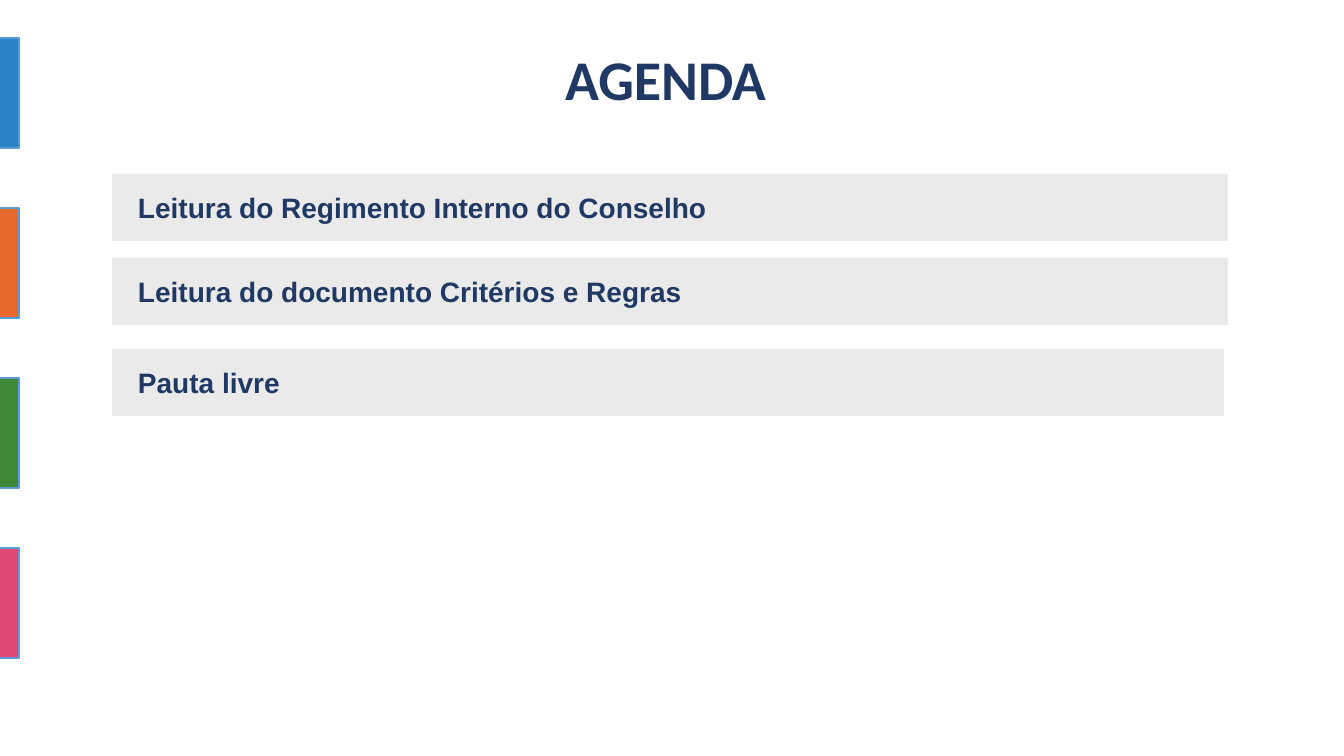
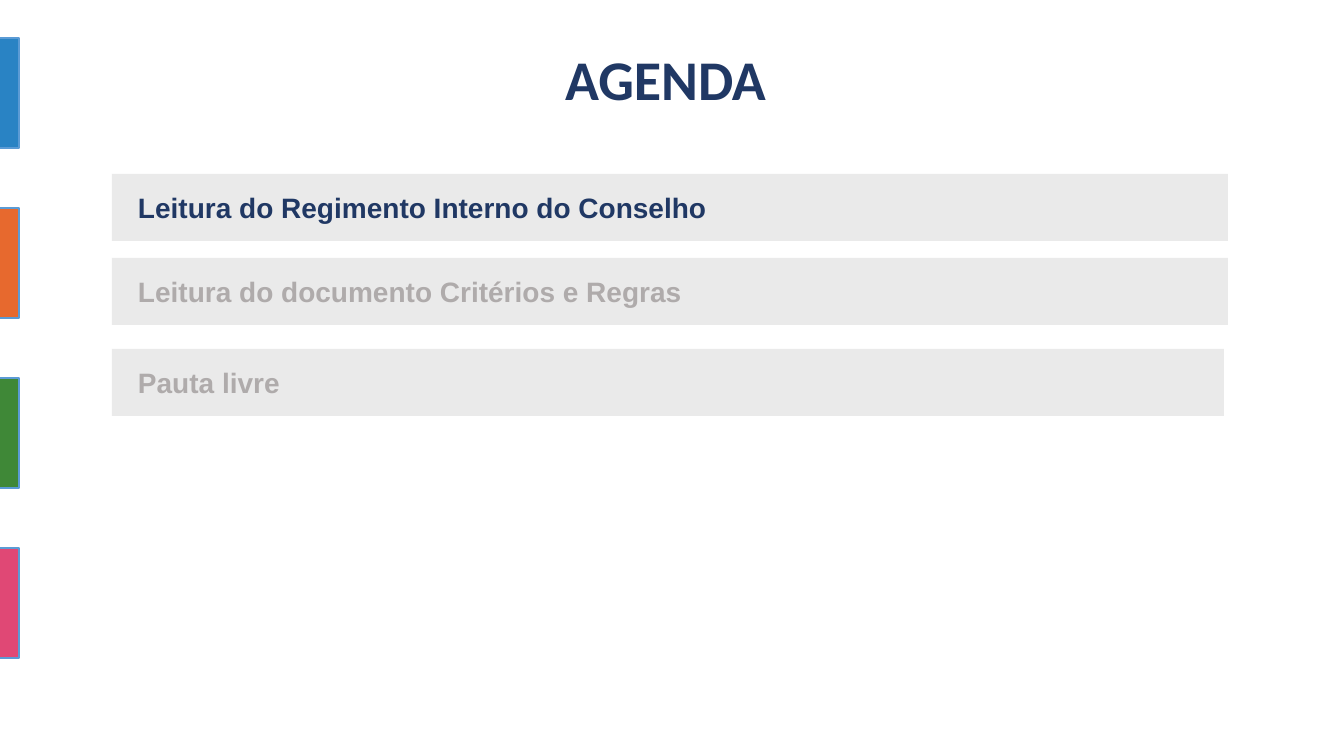
from pptx import Presentation
from pptx.dml.color import RGBColor
from pptx.enum.shapes import MSO_SHAPE
from pptx.enum.text import MSO_ANCHOR, PP_ALIGN
from pptx.util import Pt

RECTANGLE = MSO_SHAPE.RECTANGLE
MIDDLE = MSO_ANCHOR.MIDDLE
LEFT, CENTER = PP_ALIGN.LEFT, PP_ALIGN.CENTER

SLIDE_WIDTH, SLIDE_HEIGHT = 1344, 756
SCALE = 12192000 / SLIDE_WIDTH

COLORS = {
    "blue": "2983C4",
    "orange": "E7692E",
    "green": "3F8837",
    "pink": "E04875",
    "outline": "5B9BD5",
    "navy": "203864",
    "bar": "EAEAEA",
    "muted": "AFABAB",
}
TAB_COLORS = ("blue", "orange", "green", "pink")
TAB_PITCH = 170

TABS_BOX = (-1, 38, 20, 110)
TITLE_BOX = (361, 40, 609, 139)
TOPICS = (
    ("Leitura do Regimento Interno do Conselho", (112, 174, 1116, 67)),
    ("Leitura do documento Critérios e Regras", (112, 258, 1116, 67)),
    ("Pauta livre", (112, 349, 1112, 67)),
)


def px(length):
    return round(length * SCALE)


def color(name):
    return RGBColor.from_string(COLORS[name])


def add_rectangle(slide, box, fill, outline=None):
    rectangle = slide.shapes.add_shape(RECTANGLE, *map(px, box))
    rectangle.shadow.inherit = False
    rectangle.fill.solid()
    rectangle.fill.fore_color.rgb = color(fill)
    if outline:
        rectangle.line.color.rgb = color(outline)
        rectangle.line.width = Pt(2)
    else:
        rectangle.line.fill.background()
    return rectangle


def write(frame, text, font_name, size, text_color, alignment):
    paragraph = frame.paragraphs[0]
    paragraph.text = text
    paragraph.alignment = alignment
    font = paragraph.font
    font.name = font_name
    font.size = Pt(size)
    font.bold = True
    font.color.rgb = color(text_color)
    return paragraph


def add_side_tabs(slide, box):
    """Stack the coloured tabs downwards from the box of the first one."""
    left, top, width, height = box
    for index, fill in enumerate(TAB_COLORS):
        tab_box = (left, top + index * TAB_PITCH, width, height)
        add_rectangle(slide, tab_box, fill, "outline")


def add_title(slide, box, text):
    frame = slide.shapes.add_textbox(*map(px, box)).text_frame
    frame.word_wrap = True
    write(frame, text, "Calibri", 40, "navy", CENTER)


def add_topic(slide, box, text, text_color):
    frame = add_rectangle(slide, box, "bar").text_frame
    frame.word_wrap = False
    frame.vertical_anchor = MIDDLE
    frame.margin_left = px(26)
    paragraph = write(frame, text, "Arial", 20, text_color, LEFT)
    paragraph.space_before = Pt(4)


def add_agenda_slide(deck, active_topics):
    """Build an agenda that mutes every topic whose index is not active."""
    slide = deck.slides.add_slide(deck.slide_layouts[6])
    add_side_tabs(slide, TABS_BOX)
    add_title(slide, TITLE_BOX, "AGENDA")
    for index, (topic, box) in enumerate(TOPICS):
        text_color = "navy" if index in active_topics else "muted"
        add_topic(slide, box, topic, text_color)


def main():
    deck = Presentation()
    deck.slide_width = px(SLIDE_WIDTH)
    deck.slide_height = px(SLIDE_HEIGHT)
    add_agenda_slide(deck, active_topics=range(len(TOPICS)))
    add_agenda_slide(deck, active_topics=(0,))
    deck.save("out.pptx")


if __name__ == "__main__":
    main()
